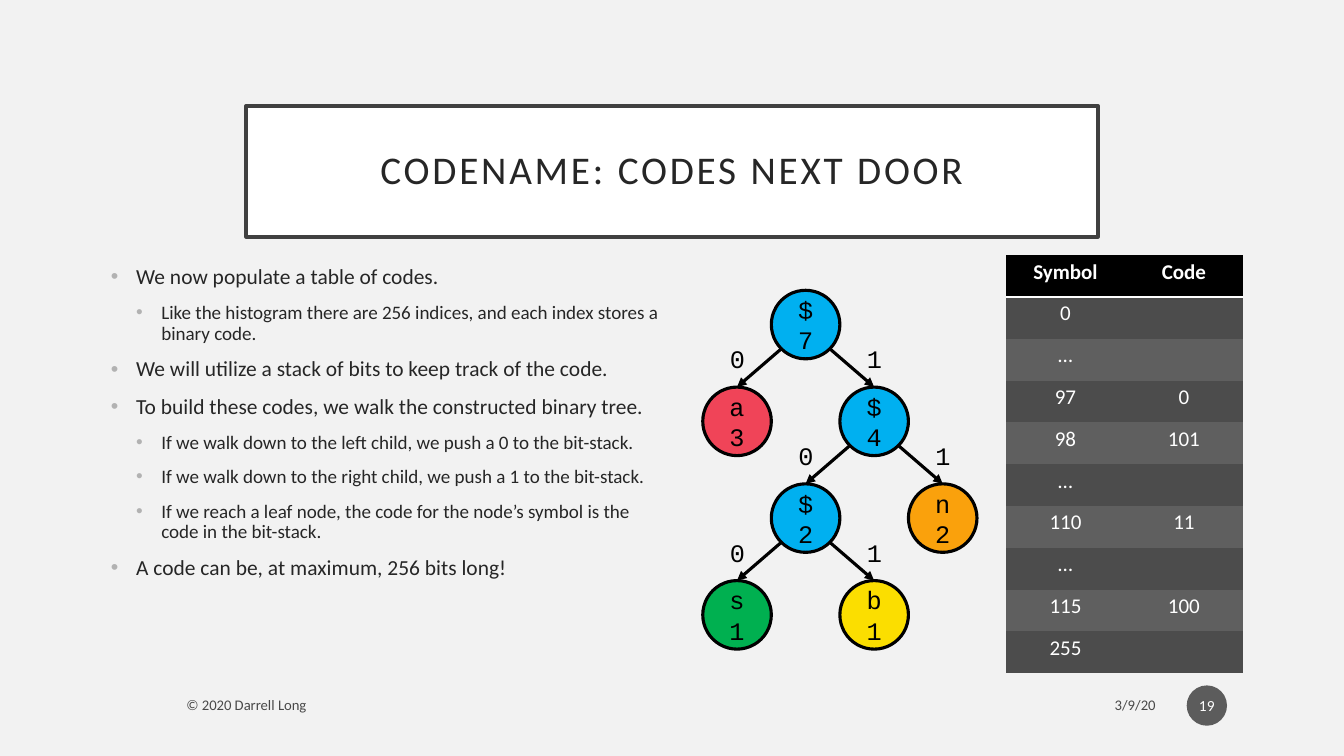
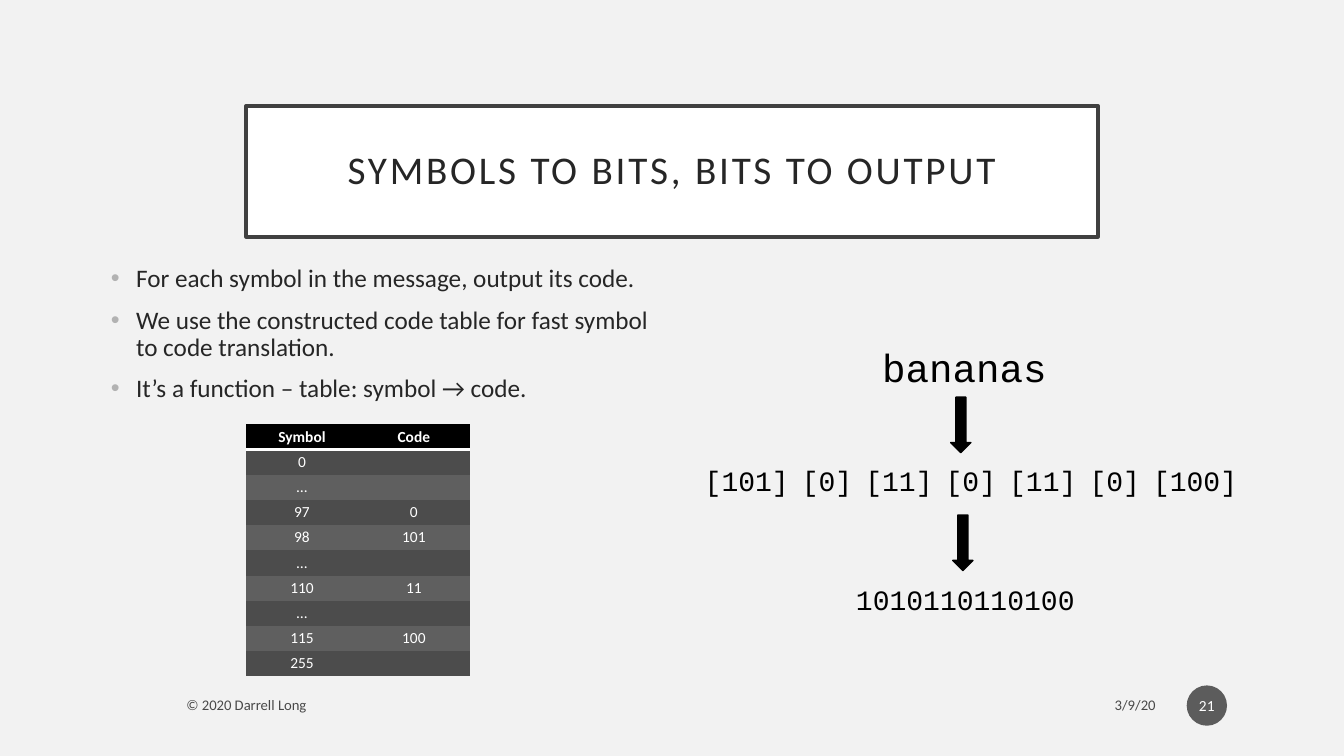
from pptx import Presentation
from pptx.dml.color import RGBColor
from pptx.enum.shapes import MSO_CONNECTOR, MSO_SHAPE
from pptx.enum.text import MSO_ANCHOR, MSO_AUTO_SIZE, PP_ALIGN
from pptx.oxml.ns import qn
from pptx.util import Inches, Pt
from lxml import etree

# Shared style
rgb = RGBColor.from_string
SANS, MONO = "Calibri", "Courier New"
BLACK, WHITE, INK = "000000", "FFFFFF", "262626"
CENTER = PP_ALIGN.CENTER
BLUE = "00B0F0"


def write(p, text, size, color=BLACK, font=MONO, align=CENTER, bold=False):
    """Set a paragraph's text and format its runs."""
    p.text = text
    p.alignment = align
    for r in p.runs:
        r.font.name, r.font.size, r.font.bold = font, Pt(size), bold
        r.font.color.rgb = rgb(color)


def add_item(s, at, text="", size=18, shape=None, fill=BLACK, line=None, **style):
    """Add a preset shape, or a text box when no shape is given."""
    box = [Inches(v) for v in at]
    if shape is None:
        sp = s.shapes.add_textbox(*box)
    else:
        sp = s.shapes.add_shape(shape, *box)
        sp.shadow.inherit = False
        sp.fill.solid()
        sp.fill.fore_color.rgb = rgb(fill)
        if line:
            sp.line.color.rgb = rgb(BLACK)
            sp.line.width = Pt(line)
        else:
            sp.line.fill.background()
    sp.text_frame.word_wrap = True
    write(sp.text_frame.paragraphs[0], text, size, **style)
    return sp


prs = Presentation()
prs.slide_width, prs.slide_height = Inches(13.33), Inches(7.5)
bg = prs.slide_master.background.fill
bg.solid()
bg.fore_color.rgb = rgb("F2F2F2")

# Content of the slides
CODES = [("Symbol", "Code"), ("0", ""), ("…", ""), ("97", "0"), ("98", "101"),
         ("…", ""), ("110", "11"), ("…", ""), ("115", "100"), ("255", "")]
SLIDES = [
    dict(title="CODENAME: CODES NEXT DOOR", number="19",
         body_height=3.74, sizes=(15.3, 13.6),
         bullets=[
             (0, "We now populate a table of codes."),
             (1, "Like the histogram there are 256 indices, and each index "
                 "stores a binary code."),
             (0, "We will utilize a stack of bits to keep track of the code."),
             (0, "To build these codes, we walk the constructed binary tree."),
             (1, "If we walk down to the left child, we push a 0 to the bit-stack."),
             (1, "If we walk down to the right child, we push a 1 to the bit-stack."),
             (1, "If we reach a leaf node, the code for the node’s symbol is "
                 "the code in the bit-stack."),
             (0, "A code can be, at maximum, 256 bits long!")],
         table_at=(9.98, 2.53, 2.35, 4.15), table_size=15, margins=(0.09, 0.04)),
    dict(title="SYMBOLS TO BITS, BITS TO OUTPUT", number="21",
         body_height=1.5, sizes=(18,),
         bullets=[
             (0, "For each symbol in the message, output its code."),
             (0, "We use the constructed code table for fast symbol to code "
                 "translation."),
             (0, "It’s a function – table: symbol → code.")],
         table_at=(2.44, 4.21, 2.22, 2.5), table_size=11, margins=(0.06, 0.03)),
]

for d in SLIDES:
    s = prs.slides.add_slide(prs.slide_layouts[1])

    # Title
    sp = s.shapes.title
    sp.left, sp.top, sp.width, sp.height = [Inches(v) for v in (2.44, 1.05, 8.45, 1.3)]
    sp.fill.solid()
    sp.fill.fore_color.rgb = rgb(WHITE)
    sp.line.color.rgb = rgb("404040")
    sp.line.width = Pt(2.5)
    tf = sp.text_frame
    tf.auto_size = MSO_AUTO_SIZE.NONE
    tf.vertical_anchor = MSO_ANCHOR.MIDDLE
    tf.margin_left = tf.margin_right = tf.margin_top = tf.margin_bottom = Inches(0.2)
    p = tf.paragraphs[0]
    write(p, d["title"], 28, INK, SANS)
    p.line_spacing = 0.9
    p.runs[0].font._element.set("spc", "200")

    # Bullet list
    sp = s.placeholders[1]
    sp.left, sp.top, sp.width = Inches(1), Inches(2.59), Inches(5.67)
    sp.height = Inches(d["body_height"])
    tf = sp.text_frame
    tf.auto_size = MSO_AUTO_SIZE.NONE
    for i, (level, text) in enumerate(d["bullets"]):
        p = tf.add_paragraph() if i else tf.paragraphs[0]
        write(p, text, d["sizes"][level], INK, SANS, PP_ALIGN.LEFT)
        p.level = level
        p.line_spacing = 0.9
        p.space_before = Pt(10 if i else 0)
        pPr = p._p.get_or_add_pPr()
        pPr.set("marL", str(Inches(0.25 * (level + 1))))
        pPr.set("indent", str(-Inches(0.25)))
        clr = etree.SubElement(pPr, qn("a:buClr"))
        etree.SubElement(clr, qn("a:srgbClr"), val="B2B2B2")
        etree.SubElement(pPr, qn("a:buChar"), char="•")

    # Code table, without the grid of the default style
    box = [Inches(v) for v in d["table_at"]]
    table = s.shapes.add_table(len(CODES), 2, *box).table
    style_id = table._tbl.tblPr.find(qn("a:tableStyleId"))
    style_id.text = "{2D5ABB26-0587-4C30-8999-92F81FD0307C}"
    for i, row in enumerate(CODES):
        for j, text in enumerate(row):
            cell = table.cell(i, j)
            cell.margin_left = cell.margin_right = Inches(d["margins"][0])
            cell.margin_top = cell.margin_bottom = Inches(d["margins"][1])
            cell.fill.solid()
            fill = BLACK if i == 0 else "4C4C4C" if i % 2 else "5F5F5F"
            cell.fill.fore_color.rgb = rgb(fill)
            p = cell.text_frame.paragraphs[0]
            write(p, text, d["table_size"], WHITE, SANS, bold=i == 0)
            if not text:  # keeps empty cells from stretching the row
                p._p.get_or_add_endParaRPr().set("sz", str(d["table_size"] * 100))
            if i == 0:
                ln = etree.Element(qn("a:lnB"), w=str(Pt(2)))
                solid = etree.SubElement(ln, qn("a:solidFill"))
                etree.SubElement(solid, qn("a:srgbClr"), val=WHITE)
                cell._tc.get_or_add_tcPr().insert(0, ln)

    # Footer: date, copyright and page number
    date = add_item(s, (8.55, 6.82, 3.01, 0.35), "3/9/20", 10.5,
                    font=SANS, align=PP_ALIGN.RIGHT)
    owner = add_item(s, (1.75, 6.82, 6.45, 0.35), "© 2020 Darrell Long", 10.5,
                     font=SANS, align=PP_ALIGN.LEFT)
    number = add_item(s, (11.77, 6.8, 0.4, 0.4), d["number"], 11, MSO_SHAPE.OVAL,
                      "1D1D1D", color=WHITE, font=SANS)
    number.text_frame.margin_left = number.text_frame.margin_right = Inches(0.02)
    for sp in (date, owner, number):
        sp.text_frame.vertical_anchor = MSO_ANCHOR.MIDDLE
        clr = next(sp._element.iter(qn("a:srgbClr")))
        etree.SubElement(clr, qn("a:alpha"), val="70000")

tree_slide, output_slide = prs.slides

# Code tree: name, column, level, fill
NODE = 0.68
NODES = [("$ 7", 1, 0, BLUE), ("a 3", 0, 1, "F04458"), ("$ 4", 2, 1, BLUE),
         ("$ 2", 1, 2, BLUE), ("n 2", 3, 2, "FAA10C"),
         ("s 1", 0, 3, "00B050"), ("b 1", 2, 3, "FBDE00")]
nodes = {}
for name, col, level, fill in NODES:
    at = (6.97 + NODE * col, 2.88 + 0.96 * level)
    sp = add_item(tree_slide, (*at, NODE, NODE), name, 18, MSO_SHAPE.OVAL, fill, 2.25)
    nodes[name] = sp, at

# Branches with their bits: parent, left child, right child
for parent, *children in [("$ 7", "a 3", "$ 4"), ("$ 4", "$ 2", "n 2"),
                          ("$ 2", "s 1", "b 1")]:
    px, py = nodes[parent][1]
    for bit, child in enumerate(children):
        sp, (x, y) = nodes[child]
        start = px + (NODE - 0.1 if bit else 0.1)
        cn = tree_slide.shapes.add_connector(
            MSO_CONNECTOR.STRAIGHT, Inches(start), Inches(py + 0.58),
            Inches(x + NODE / 2), Inches(y))
        cn.end_connect(sp, 0)
        cn.line.color.rgb = rgb(BLACK)
        cn.line.width = Pt(2.25)
        etree.SubElement(cn.line._get_or_add_ln(), qn("a:tailEnd"), type="triangle")
        etree.SubElement(cn._element.spPr, qn("a:effectLst"))
        add_item(tree_slide, (x + 0.17, y - 0.48, 0.34, 0.4), str(bit))

# Message, its codes in one row, and the bits that come out
add_item(output_slide, (8.3, 3.36, 2.53, 0.64), "bananas", 28)
x, gap, pad = 6.99, 0.13, 0.15
for code in ("[101]", "[0]", "[11]", "[0]", "[11]", "[0]", "[100]"):
    width = len(code) * 12 / 72  # a 20 pt fixed-width letter takes 12 pt
    add_item(output_slide, (x - pad, 4.55, width + 2 * pad, 0.49), code, 20)
    x += width + gap
add_item(output_slide, (8.25, 5.73, 2.65, 0.49), "1010110110100", 20)
for x, y in ((9.43, 3.94), (9.45, 5.11)):
    add_item(output_slide, (x, y, 0.2, 0.55), shape=MSO_SHAPE.DOWN_ARROW, line=1)

prs.save("out.pptx")
